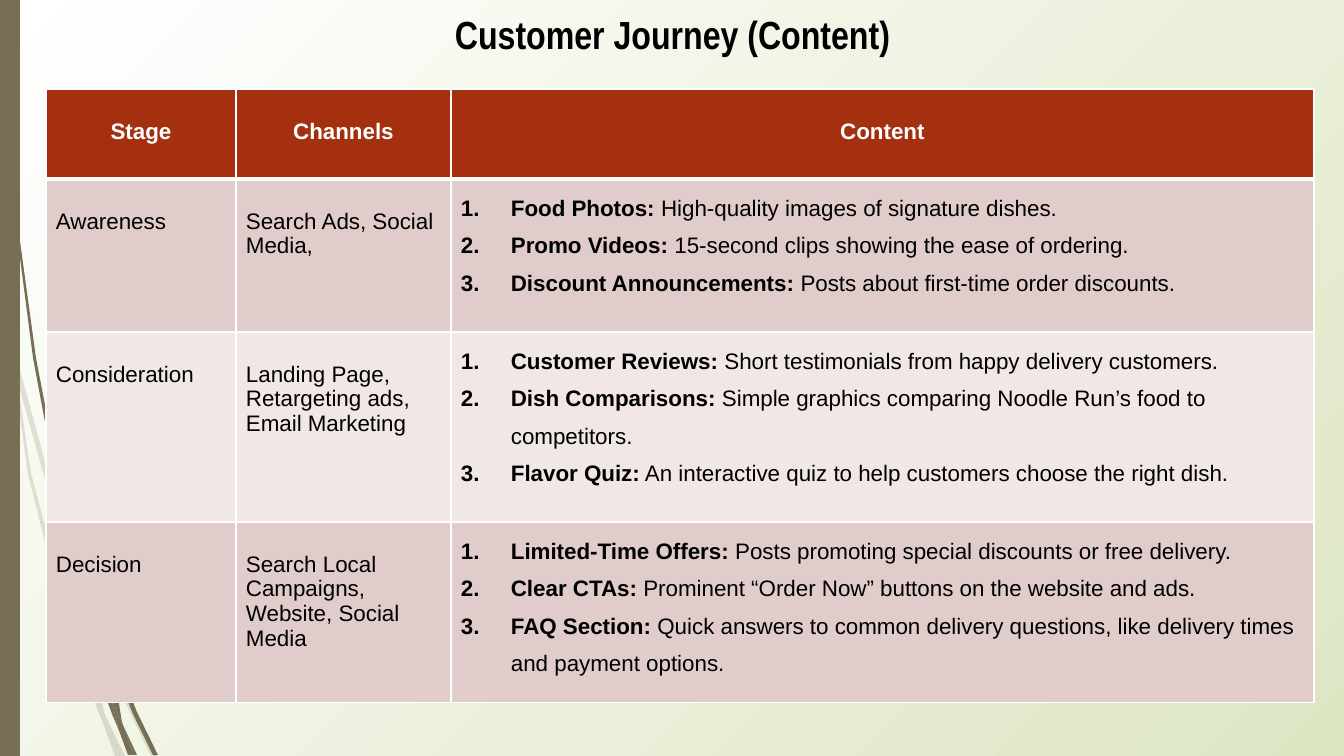
from typing import NamedTuple

from lxml.etree import SubElement
from pptx import Presentation
from pptx.dml.color import RGBColor
from pptx.enum.shapes import MSO_SHAPE
from pptx.enum.text import MSO_ANCHOR, MSO_AUTO_SIZE, PP_ALIGN
from pptx.oxml.ns import qn
from pptx.util import Pt

PAGE_W, PAGE_H = 1344, 756
EMU_PER_PX = 12192000 / PAGE_W

BLACK = RGBColor(0x00, 0x00, 0x00)
WHITE = RGBColor(0xFF, 0xFF, 0xFF)
PALE_GREEN = RGBColor(0xDD, 0xE6, 0xC3)
OLIVE = RGBColor(0x76, 0x6F, 0x54)
RUST = RGBColor(0xA5, 0x30, 0x10)
ROSE = RGBColor(0xE0, 0xCC, 0xCA)
PALE_ROSE = RGBColor(0xF0, 0xE7, 0xE6)

Point = tuple[int, int]


class Idea(NamedTuple):
    name: str
    detail: str


class Stage(NamedTuple):
    name: str
    channels: str
    height: int
    ideas: list[Idea]


HEADINGS = ["Stage", "Channels", "Content"]
COLUMN_WIDTHS = [190, 215, 863]
HEADER_HEIGHT = 90
LABEL_TOP = 30
LIST_TOP = 5
LIST_INDENT = 50

STAGES = [
    Stage("Awareness", "Search Ads, Social Media,", 153, [
        Idea("Food Photos:", "High-quality images of signature dishes."),
        Idea("Promo Videos:", "15-second clips showing the ease of ordering."),
        Idea("Discount Announcements:", "Posts about first-time order discounts."),
    ]),
    Stage("Consideration", "Landing Page, Retargeting ads, Email Marketing", 190, [
        Idea("Customer Reviews:", "Short testimonials from happy delivery customers."),
        Idea("Dish Comparisons:", "Simple graphics comparing Noodle Run’s food to competitors."),
        Idea("Flavor Quiz:", "An interactive quiz to help customers choose the right dish."),
    ]),
    Stage("Decision", "Search Local Campaigns, Website, Social Media", 181, [
        Idea("Limited-Time Offers:", "Posts promoting special discounts or free delivery."),
        Idea("Clear CTAs:", "Prominent “Order Now” buttons on the website and ads."),
        Idea("FAQ Section:", "Quick answers to common delivery questions, "
                             "like delivery times and payment options."),
    ]),
]

FAINT_WISPS: list[list[Point]] = [
    [(58, 526), (85, 604), (86, 591), (62, 524), (14, 348), (17, 379)],
    [(93, 612), (89, 601), (89, 615), (124, 700), (151, 756), (156, 756), (128, 698)],
    [(120, 756), (125, 756), (106, 717)],
    [(94, 688), (71, 624), (31, 473), (17, 379), (11, 353), (28, 474), (66, 626),
     (93, 699), (102, 720), (100, 713)],
    [(85, 604), (88, 651), (94, 688), (97, 698), (106, 717), (104, 712), (92, 651),
     (89, 615), (89, 613)],
    [(102, 720), (115, 756), (120, 756)],
    [(97, 698), (94, 688), (100, 713), (102, 720), (120, 756), (106, 717)],
]
SOLID_WISPS: list[list[Point]] = [
    [(7, 111), (17, 235), (33, 358), (56, 481), (57, 485), (55, 461), (55, 457),
     (36, 358), (19, 234), (8, 110), (5, 48), (4, 0), (3, 0), (4, 48)],
    [(114, 654), (111, 646), (112, 661), (133, 714), (153, 755), (158, 755), (137, 712)],
    [(111, 697), (99, 662), (73, 560), (65, 509), (57, 481), (69, 561), (94, 664),
     (112, 714), (118, 728), (117, 723)],
    [(134, 755), (137, 755), (123, 725)],
    [(118, 728), (128, 755), (132, 755)],
    [(107, 650), (111, 697), (117, 712), (123, 725), (122, 722), (112, 661), (110, 656)],
    [(117, 712), (111, 697), (117, 723), (118, 728), (131, 755), (134, 755), (123, 725)],
]


def px(length: int) -> int:
    return round(length * EMU_PER_PX)


def paint_background(page) -> None:
    """Radial gradient spreading from the top left corner."""
    fill = page.background.fill
    fill.gradient()
    for stop, color in zip(fill.gradient_stops, (WHITE, PALE_GREEN)):
        stop.color.rgb = color
    gradient = page.element.find(".//" + qn("a:gradFill"))
    gradient.remove(gradient.find(qn("a:lin")))
    circle = SubElement(gradient, qn("a:path"), path="circle")
    SubElement(circle, qn("a:fillToRect"), r="100000", b="100000")


def paint_olive(shape) -> None:
    shape.shadow.inherit = False
    shape.fill.solid()
    shape.fill.fore_color.rgb = OLIVE
    shape.line.fill.background()


def add_wisp(page, points: list[Point], opacity: int = 100) -> None:
    builder = page.shapes.build_freeform(*points[0], scale=EMU_PER_PX)
    builder.add_line_segments(points[1:], close=True)
    wisp = builder.convert_to_shape()
    paint_olive(wisp)
    if opacity < 100:
        color = wisp.element.spPr.find(qn("a:solidFill"))[0]
        SubElement(color, qn("a:alpha"), val=str(opacity * 1000))


def add_title(page, text: str) -> None:
    title = page.shapes.title
    title.left, title.top, title.width, title.height = map(px, (236, 5, 873, 57))
    frame = title.text_frame
    frame.text = text
    frame.word_wrap = True
    frame.auto_size = MSO_AUTO_SIZE.SHAPE_TO_FIT_TEXT
    frame.vertical_anchor = MSO_ANCHOR.TOP
    para = frame.paragraphs[0]
    para.alignment = PP_ALIGN.CENTER
    font = para.font
    font.name, font.size, font.bold = "Arial Narrow", Pt(28), True
    font.color.rgb = BLACK


def format_cell(cell, color: RGBColor, top: int, bottom_line: int = 1) -> None:
    cell.margin_left = cell.margin_right = px(10)
    cell.margin_top, cell.margin_bottom = px(top), px(5)
    properties = cell._tc.get_or_add_tcPr()
    for side, points in (("L", 1), ("R", 1), ("T", 1), ("B", bottom_line)):
        line = SubElement(properties, qn(f"a:ln{side}"), w=str(Pt(points)))
        SubElement(SubElement(line, qn("a:solidFill")), qn("a:srgbClr"), val=str(WHITE))
    cell.fill.solid()
    cell.fill.fore_color.rgb = color


def set_table_font(para, color: RGBColor = BLACK, bold: bool | None = False) -> None:
    font = para.font
    font.name, font.size, font.bold = "Arial", Pt(16), bold
    font.color.rgb = color


def write_heading(cell, text: str) -> None:
    format_cell(cell, RUST, LABEL_TOP, bottom_line=3)
    cell.text = text
    para = cell.text_frame.paragraphs[0]
    para.alignment = PP_ALIGN.CENTER
    set_table_font(para, WHITE, True)


def write_label(cell, text: str, color: RGBColor) -> None:
    format_cell(cell, color, LABEL_TOP)
    cell.text = text
    set_table_font(cell.text_frame.paragraphs[0])


def write_ideas(cell, ideas: list[Idea], color: RGBColor) -> None:
    format_cell(cell, color, LIST_TOP)
    frame = cell.text_frame
    for index, idea in enumerate(ideas):
        para = frame.add_paragraph() if index else frame.paragraphs[0]
        para.line_spacing = 1.5
        properties = para._p.get_or_add_pPr()
        properties.set("marL", str(px(LIST_INDENT)))
        properties.set("indent", str(-px(LIST_INDENT)))
        SubElement(SubElement(properties, qn("a:buClr")), qn("a:srgbClr"), val=str(BLACK))
        SubElement(properties, qn("a:buFont"), typeface="Arial")
        SubElement(properties, qn("a:buAutoNum"), type="arabicPeriod")
        set_table_font(para, bold=None)
        for text, bold in ((idea.name, True), (" " + idea.detail, False)):
            span = para.add_run()
            span.text, span.font.bold = text, bold


def add_journey_table(page) -> None:
    heights = [HEADER_HEIGHT] + [stage.height for stage in STAGES]
    table = page.shapes.add_table(len(heights), len(HEADINGS), px(46), px(89),
                                  px(sum(COLUMN_WIDTHS)), px(sum(heights))).table
    table.horz_banding = False
    for column, width in zip(table.columns, COLUMN_WIDTHS):
        column.width = px(width)
    for row, height in zip(table.rows, heights):
        row.height = px(height)
    for index, heading in enumerate(HEADINGS):
        write_heading(table.cell(0, index), heading)
    for index, stage in enumerate(STAGES, 1):
        color = ROSE if index % 2 else PALE_ROSE
        write_label(table.cell(index, 0), stage.name, color)
        write_label(table.cell(index, 1), stage.channels, color)
        write_ideas(table.cell(index, 2), stage.ideas, color)


def main() -> None:
    deck = Presentation()
    deck.slide_width, deck.slide_height = px(PAGE_W), px(PAGE_H)
    page = deck.slides.add_slide(deck.slide_layouts.get_by_name("Title Only"))
    paint_background(page)
    for points in FAINT_WISPS:
        add_wisp(page, points, opacity=20)
    for points in SOLID_WISPS:
        add_wisp(page, points)
    paint_olive(page.shapes.add_shape(MSO_SHAPE.RECTANGLE, 0, 0, px(20), px(PAGE_H)))
    add_title(page, "Customer Journey (Content)")
    add_journey_table(page)
    deck.save("out.pptx")


if __name__ == "__main__":
    main()
